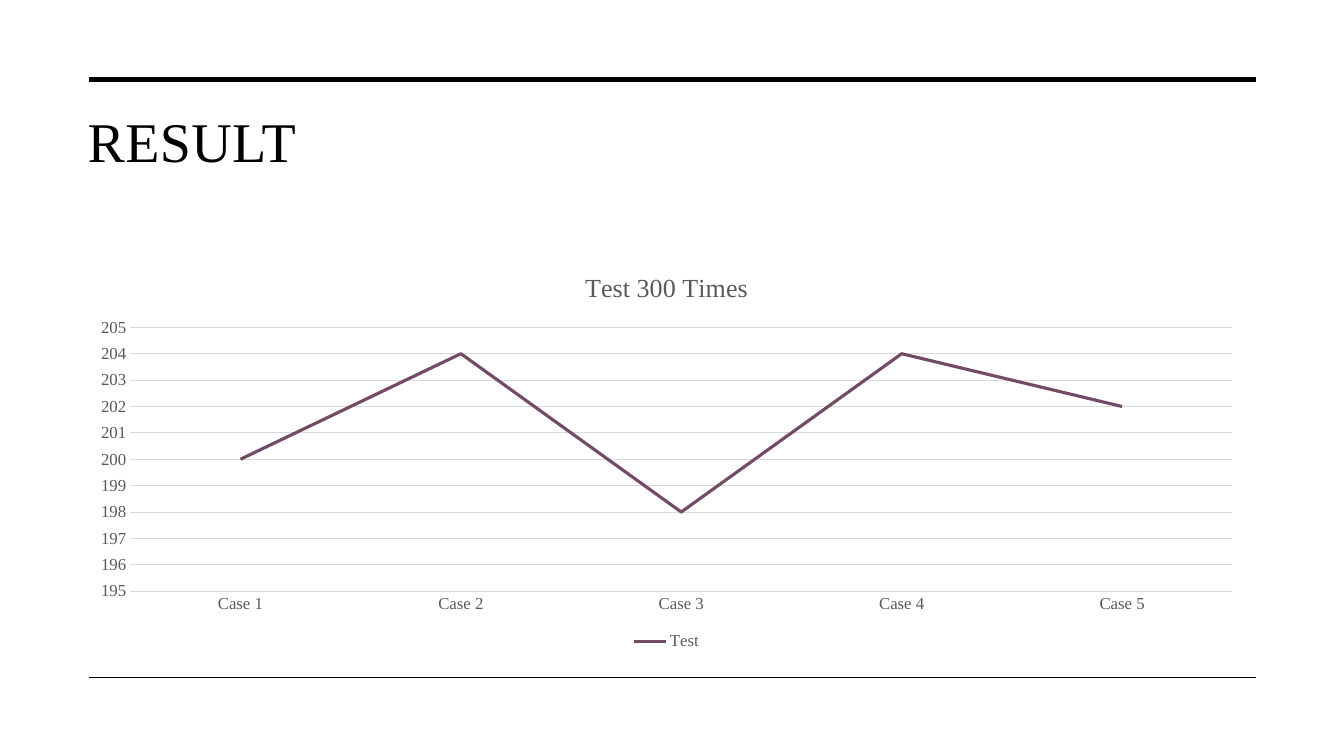
from dataclasses import dataclass

from lxml.etree import SubElement
from pptx import Presentation
from pptx.chart.data import CategoryChartData as ChartData
from pptx.dml.color import RGBColor as Color
from pptx.enum.chart import XL_CHART_TYPE as Kind
from pptx.enum.chart import XL_LEGEND_POSITION as Spot
from pptx.enum.chart import XL_TICK_MARK as Tick
from pptx.enum.shapes import MSO_CONNECTOR as Link
from pptx.enum.text import MSO_ANCHOR as Anchor
from pptx.enum.text import MSO_AUTO_SIZE as Fit
from pptx.enum.text import PP_ALIGN as Align
from pptx.oxml.ns import qn
from pptx.util import Pt


@dataclass(frozen=True)
class Theme:
    face: str = "Times New Roman"
    ink: Color = Color.from_string("000000")
    gray: Color = Color.from_string("595959")
    grid: Color = Color.from_string("D9D9D9")
    plum: Color = Color.from_string("734B67")
    head: float = 40
    title: float = 18.6
    label: float = 12


THEME = Theme()
LEFT, WIDE = 55.4, 841.7
RULE_LEFT, RULE_RIGHT = 63.4, 897.1
CASES = {"Case 1": 200, "Case 2": 204, "Case 3": 198, "Case 4": 204, "Case 5": 202}


def apply(item, values):
    for name, value in values.items():
        setattr(item, name, value)


def set_font(font, size, color):
    apply(font, {"name": THEME.face, "size": Pt(size), "bold": False})
    font.color.rgb = color


def set_line(line, color, width):
    line.color.rgb = color
    line.width = Pt(width)


def add_rule(slide, top, width):
    rule = slide.shapes.add_connector(
        Link.STRAIGHT, Pt(RULE_LEFT), Pt(top), Pt(RULE_RIGHT), Pt(top))
    set_line(rule.line, THEME.ink, width)
    SubElement(rule._element.spPr, qn("a:effectLst"))


def set_title(slide, text):
    title = slide.shapes.title
    apply(title, {"left": Pt(LEFT), "top": Pt(72.7),
                  "width": Pt(WIDE), "height": Pt(108)})
    frame = title.text_frame
    apply(frame, {"word_wrap": True, "auto_size": Fit.NONE,
                  "vertical_anchor": Anchor.TOP})
    para = frame.paragraphs[0]
    para.alignment = Align.LEFT
    run = para.add_run()
    run.text = text
    set_font(run.font, THEME.head, THEME.ink)
    run._r.get_or_add_rPr().set("spc", "30")


def set_axes(chart):
    for axis in (chart.category_axis, chart.value_axis):
        apply(axis, {"major_tick_mark": Tick.NONE, "minor_tick_mark": Tick.NONE})
        set_font(axis.tick_labels.font, THEME.label, THEME.gray)
    set_line(chart.category_axis.format.line, THEME.grid, 0.75)
    scale = chart.value_axis
    apply(scale, {"minimum_scale": 195, "maximum_scale": 205, "major_unit": 1,
                  "has_major_gridlines": True})
    scale.format.line.fill.background()
    set_line(scale.major_gridlines.format.line, THEME.grid, 0.75)


def add_plot(slide, title, name, cases):
    data = ChartData()
    data.categories = list(cases)
    data.add_series(name, list(cases.values()))
    chart = slide.shapes.add_chart(
        Kind.LINE, Pt(LEFT), Pt(180.7), Pt(WIDE), Pt(286.6), data).chart
    set_font(chart.font, 10, THEME.ink)
    apply(chart, {"has_title": True, "has_legend": True})
    run = chart.chart_title.text_frame.paragraphs[0].add_run()
    run.text = title
    set_font(run.font, THEME.title, THEME.gray)
    chart.chart_title.include_in_layout = False
    apply(chart.legend, {"position": Spot.BOTTOM, "include_in_layout": False})
    set_font(chart.legend.font, THEME.label, THEME.gray)
    set_axes(chart)
    plot = chart.plots[0]
    plot.vary_by_categories = False
    series = plot.series[0]
    series.smooth = False
    set_line(series.format.line, THEME.plum, 2.25)


def main():
    deck = Presentation()
    apply(deck, {"slide_width": Pt(960), "slide_height": Pt(540)})
    slide = deck.slides.add_slide(deck.slide_layouts.get_by_name("Title Only"))
    add_rule(slide, 56.9, 3.5)
    add_rule(slide, 483.8, 1)
    set_title(slide, "RESULT")
    add_plot(slide, "Test 300 Times", "Test", CASES)
    deck.save("out.pptx")


if __name__ == "__main__":
    main()
